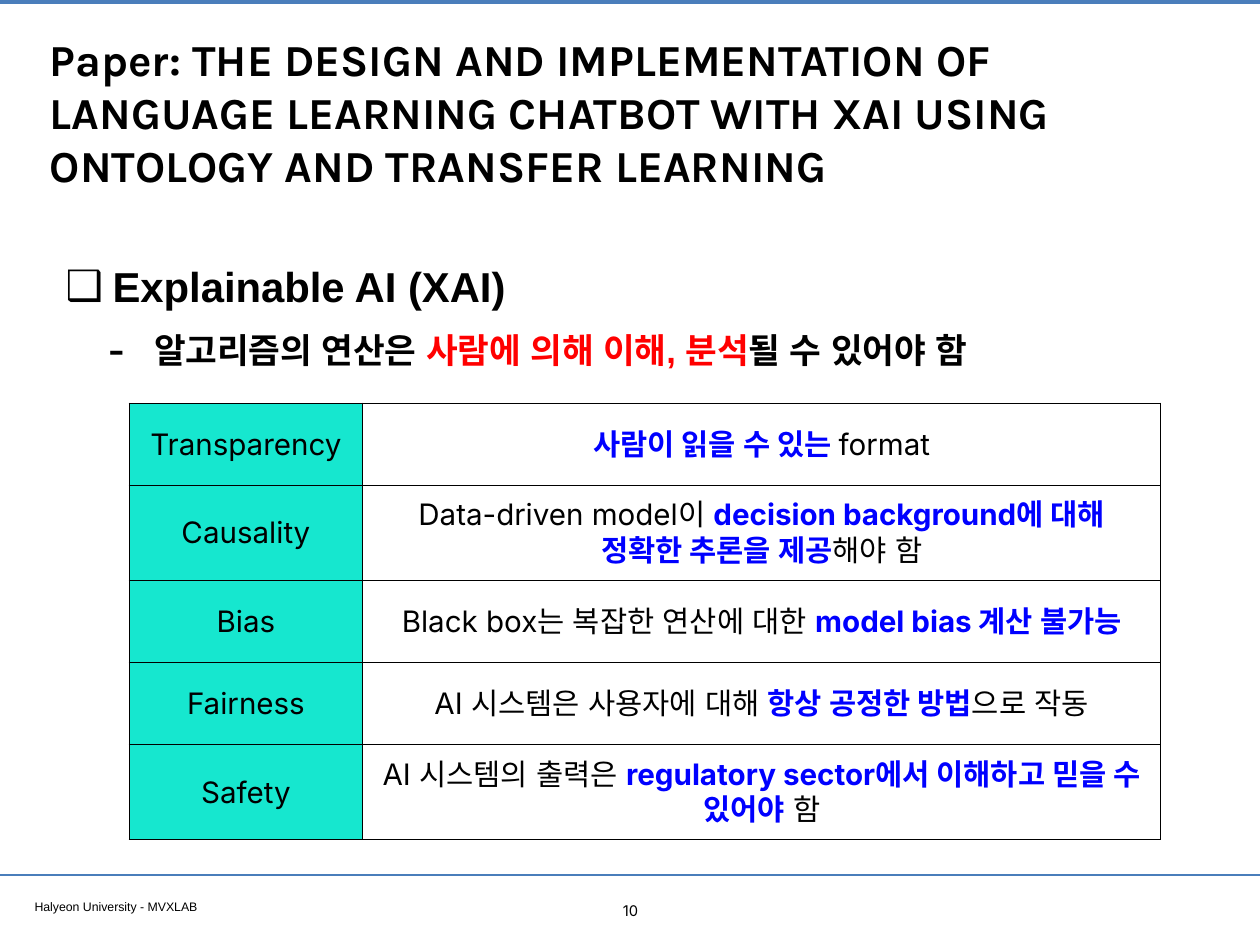
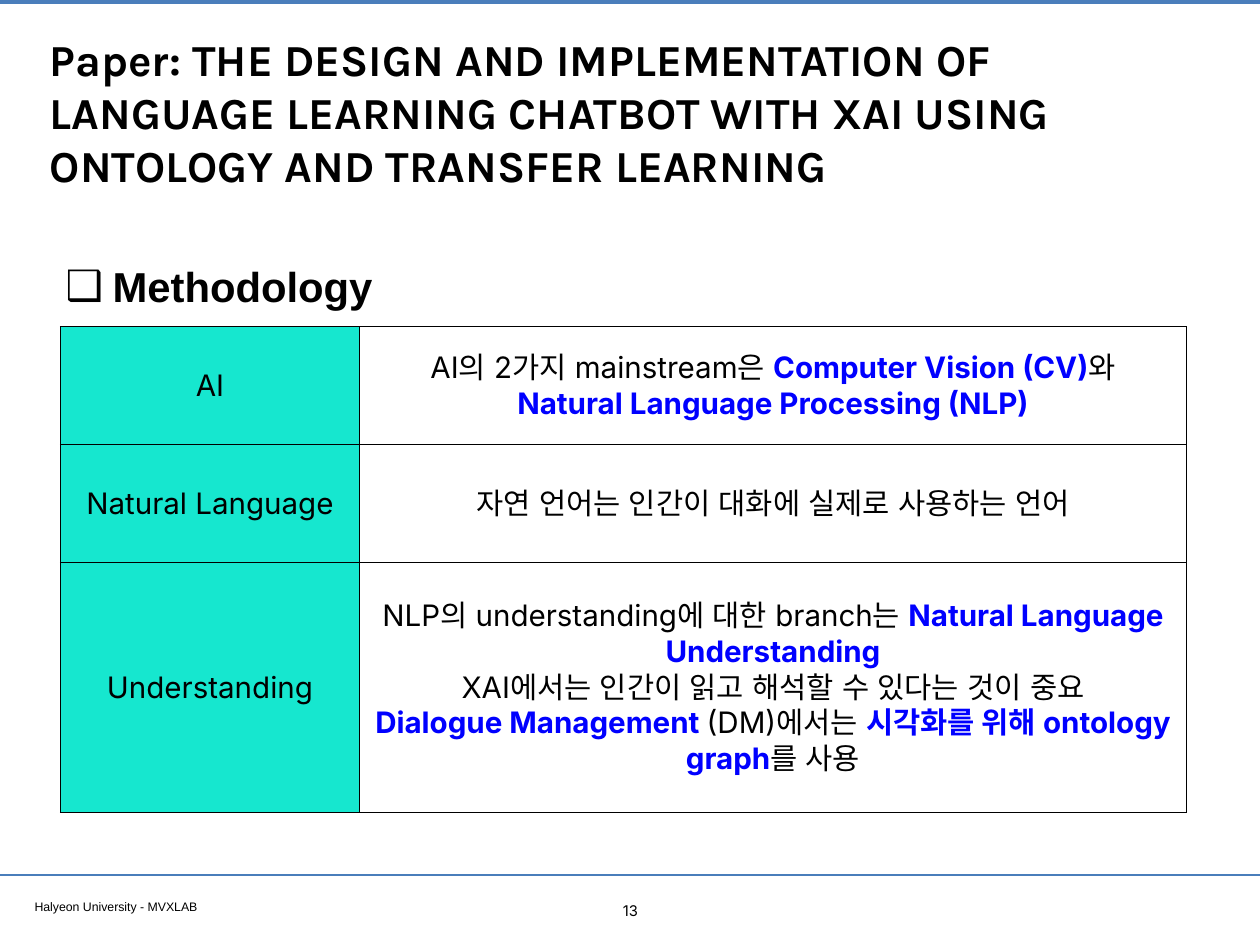
"""Build two slides on explainable AI and methodology with a shared frame."""
from dataclasses import dataclass
from typing import Optional

from lxml import etree
from pptx import Presentation
from pptx.dml.color import RGBColor
from pptx.enum.shapes import MSO_CONNECTOR
from pptx.enum.text import MSO_ANCHOR, PP_ALIGN
from pptx.oxml.ns import qn
from pptx.util import Cm, Pt

LEFT, CENTER = PP_ALIGN.LEFT, PP_ALIGN.CENTER
TOP, MIDDLE = MSO_ANCHOR.TOP, MSO_ANCHOR.MIDDLE
STRAIGHT = MSO_CONNECTOR.STRAIGHT

COLORS = {
    "ink": "000000",
    "rule": "4A7EBB",
    "term": "16E7CF",
    "key": "0000FF",
    "alert": "FF0000",
}
SLIDE_WIDTH, SLIDE_HEIGHT = 36.12, 27.1
INSET, CELL_INSET = 0.15, 0.4
ONE_LINE, TWO_LINES = 2.36, 2.72
TITLE = ("Paper: THE DESIGN AND IMPLEMENTATION OF LANGUAGE LEARNING CHATBOT "
         "WITH XAI USING ONTOLOGY AND TRANSFER LEARNING")
FOOTER = "Halyeon University - MVXLAB"


@dataclass(frozen=True)
class Run:
    text: str
    color: str = "ink"
    bold: bool = False


@dataclass(frozen=True)
class Bullet:
    char: str
    margin: float
    hang: float
    percent: int = 100


@dataclass(frozen=True)
class Box:
    left: float
    top: float
    width: float
    height: float


@dataclass(frozen=True)
class Point:
    runs: list[Run]
    size: int
    bullet: Bullet


@dataclass(frozen=True)
class Row:
    term: str
    meaning: list[list[Run]]
    height: float


@dataclass(frozen=True)
class Page:
    number: int
    points: list[Point]
    body_height: float
    left: float
    top: float
    columns: tuple[float, float]
    rows: list[Row]


SQUARE = Bullet("❑", 1.35, 1.35)
DASH = Bullet("-", 2.54, 1.32, 145)
TITLE_BOX = Box(1.28, 0.71, 33.55, 5)
FOOTER_BOX = Box(0.84, 25.63, 13.87, 0.66)
NUMBER_BOX = Box(17.58, 25.7, 0.99, 0.79)


def rgb(name: str) -> RGBColor:
    return RGBColor.from_string(COLORS[name])


def key(text: str) -> Run:
    return Run(text, "key", True)


def write(paragraph, runs: list[Run], *, size: int, font: str, bold: bool = False,
          align=LEFT, bullet: Optional[Bullet] = None) -> None:
    paragraph.alignment = align
    for part in runs:
        run = paragraph.add_run()
        run.text = part.text
        run.font.size = Pt(size)
        run.font.name = font
        run.font.bold = bold or part.bold
        run.font.color.rgb = rgb(part.color)
        etree.SubElement(run._r.get_or_add_rPr(), qn("a:ea"), typeface=font)
    if bullet:
        paragraph.line_spacing = 1.2
        paragraph.space_before = Pt(8)
        props = paragraph._p.get_or_add_pPr()
        props.set("marL", str(Cm(bullet.margin)))
        props.set("indent", str(-Cm(bullet.hang)))
        etree.SubElement(props, qn("a:buSzPct"), val=str(bullet.percent * 1000))
        etree.SubElement(props, qn("a:buFont"), typeface="Arial")
        etree.SubElement(props, qn("a:buChar"), char=bullet.char)


def add_frame(slide, box: Box, anchor=TOP):
    frame = slide.shapes.add_textbox(
        Cm(box.left), Cm(box.top), Cm(box.width), Cm(box.height)).text_frame
    frame.word_wrap = True
    frame.vertical_anchor = anchor
    frame.margin_left = frame.margin_right = Cm(INSET)
    frame.margin_top = frame.margin_bottom = Cm(INSET)
    return frame


def next_paragraph(frame, index: int):
    return frame.add_paragraph() if index else frame.paragraphs[0]


def add_rule(slide, height: float, weight: float) -> None:
    rule = slide.shapes.add_connector(
        STRAIGHT, 0, Cm(height), Cm(SLIDE_WIDTH), Cm(height))
    rule.line.color.rgb = rgb("rule")
    rule.line.width = Pt(weight)
    etree.SubElement(rule._element.spPr, qn("a:effectLst"))


def add_borders(cell) -> None:
    props = cell._tc.get_or_add_tcPr()
    for position, side in enumerate(("a:lnL", "a:lnR", "a:lnT", "a:lnB")):
        border = etree.Element(qn(side), w=str(Pt(1)))
        fill = etree.SubElement(border, qn("a:solidFill"))
        etree.SubElement(fill, qn("a:srgbClr"), val=COLORS["ink"])
        props.insert(position, border)


def fill_cell(cell, paragraphs: list[list[Run]], color: Optional[str] = None) -> None:
    cell.vertical_anchor = MIDDLE
    cell.margin_left = cell.margin_right = Cm(CELL_INSET)
    if color:
        cell.fill.solid()
        cell.fill.fore_color.rgb = rgb(color)
    else:
        cell.fill.background()
    add_borders(cell)
    for index, runs in enumerate(paragraphs):
        write(next_paragraph(cell.text_frame, index), runs,
              size=24, font="Inter", align=CENTER)


def add_terms(slide, page: Page) -> None:
    table = slide.shapes.add_table(
        len(page.rows), len(page.columns), Cm(page.left), Cm(page.top),
        Cm(sum(page.columns)), Cm(sum(row.height for row in page.rows))).table
    table.first_row = table.horz_banding = False
    for column, width in zip(table.columns, page.columns):
        column.width = Cm(width)
    for index, row in enumerate(page.rows):
        table.rows[index].height = Cm(row.height)
        fill_cell(table.cell(index, 0), [[Run(row.term)]], "term")
        fill_cell(table.cell(index, 1), row.meaning)


def add_page(deck, page: Page) -> None:
    slide = deck.slides.add_slide(deck.slide_layouts[6])
    add_rule(slide, 0.05, 3.2)
    add_rule(slide, 25.1, 2)
    write(add_frame(slide, FOOTER_BOX).paragraphs[0], [Run(FOOTER)],
          size=10, font="Arial")
    write(add_frame(slide, TITLE_BOX, MIDDLE).paragraphs[0], [Run(TITLE)],
          size=36, font="Karla", bold=True)
    body = add_frame(slide, Box(1.73, 7.04, 32.28, page.body_height))
    for index, point in enumerate(page.points):
        write(next_paragraph(body, index), point.runs, size=point.size,
              font="Arial", bold=True, bullet=point.bullet)
    write(add_frame(slide, NUMBER_BOX).paragraphs[0], [Run(str(page.number))],
          size=12, font="Inter", align=CENTER)
    add_terms(slide, page)


XAI = Page(
    10,
    [Point([Run("Explainable AI (XAI)")], 34, SQUARE),
     Point([Run("알고리즘의 연산은 "), Run("사람에 의해 이해, 분석", "alert"),
            Run("될 수 있어야 함")], 28, DASH)],
    4.11, 3.7, 11.56, (6.7, 22.87),
    [Row("Transparency", [[key("사람이 읽을 수 있는 "), Run("format")]], ONE_LINE),
     Row("Causality", [[Run("Data-driven model이 "),
                        key("decision background에 대해 정확한 추론을 제공"),
                        Run("해야 함")]], TWO_LINES),
     Row("Bias", [[Run("Black box는 복잡한 연산에 대한 "),
                   key("model bias 계산 불가능")]], ONE_LINE),
     Row("Fairness", [[Run("AI 시스템은 사용자에 대해 "),
                       key("항상 공정한 방법"), Run("으로 작동")]], ONE_LINE),
     Row("Safety", [[Run("AI 시스템의 출력은 "),
                     key("regulatory sector에서 이해하고 믿을 수 있어야"),
                     Run(" 함")]], TWO_LINES)])

METHODOLOGY = Page(
    13,
    [Point([Run("Methodology")], 34, SQUARE)],
    2.34, 1.73, 9.37, (8.58, 23.7),
    [Row("AI", [[Run("AI의 2가지 mainstream은 "), key("Computer Vision (CV)"),
                 Run("와 "), key("Natural Language Processing (NLP)")]], 3.38),
     Row("Natural Language",
         [[Run("자연 언어는 인간이 대화에 실제로 사용하는 언어")]], 3.38),
     Row("Understanding",
         [[Run("NLP의 understanding에 대한 branch는 "),
           key("Natural Language Understanding")],
          [Run("XAI에서는 인간이 읽고 해석할 수 있다는 것이 중요")],
          [key("Dialogue Management "), Run("(DM)에서는 "),
           key("시각화를 위해 ontology graph"), Run("를 사용")]], 7.16)])


def main() -> None:
    deck = Presentation()
    deck.slide_width, deck.slide_height = Cm(SLIDE_WIDTH), Cm(SLIDE_HEIGHT)
    for page in (XAI, METHODOLOGY):
        add_page(deck, page)
    deck.save("out.pptx")


main()
